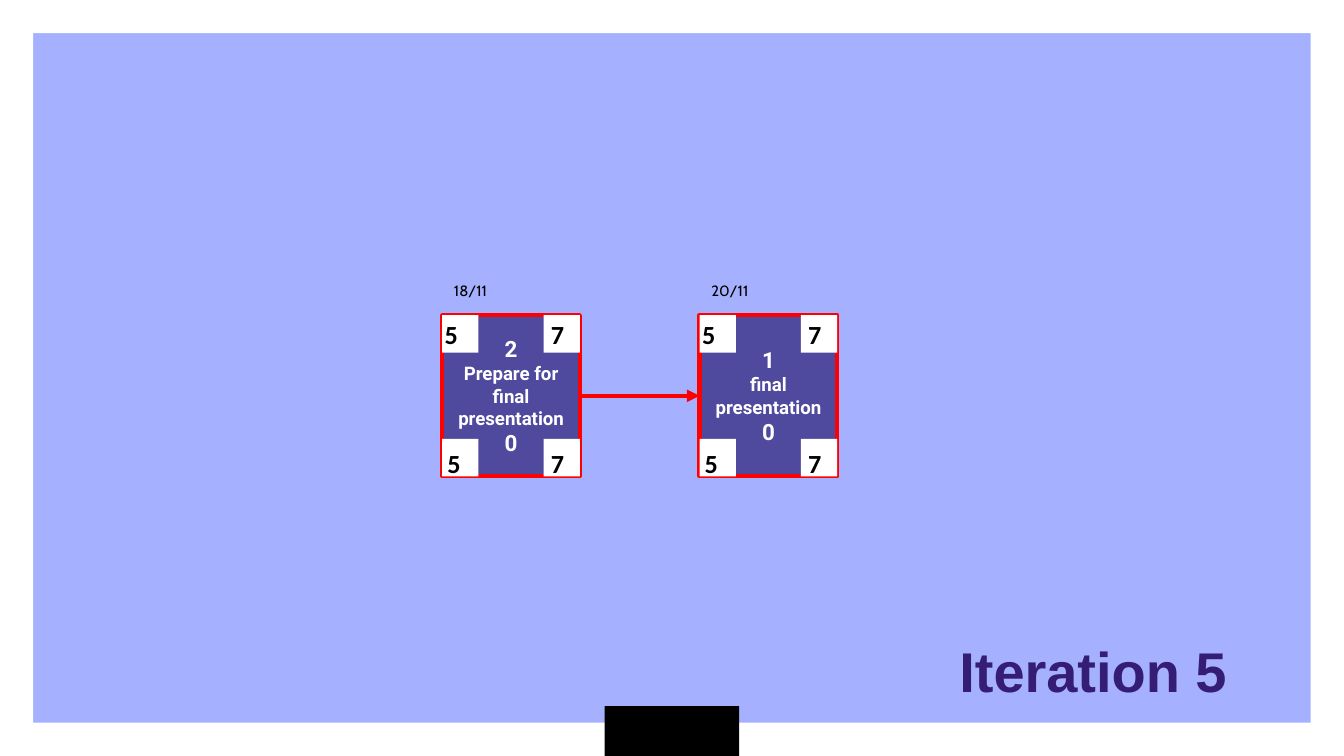
from dataclasses import dataclass

import lxml.etree
import pptx
import pptx.dml.color
import pptx.enum.shapes
import pptx.enum.text
import pptx.oxml.ns
import pptx.util

EMU_PER_PX = 4572  # 200 px to the inch
SLIDE_WIDTH, SLIDE_HEIGHT = 2000, 1125
TASK_TOP, TASK_WIDTH, TASK_HEIGHT = 469, 205, 240
CORNER_WIDTH, CORNER_HEIGHT = 54, 56
INSET = 20

Shapes = pptx.enum.shapes.MSO_SHAPE
Align = pptx.enum.text.PP_ALIGN
Anchor = pptx.enum.text.MSO_ANCHOR
AutoSize = pptx.enum.text.MSO_AUTO_SIZE


@dataclass(frozen=True)
class Theme:
    background: str = "A5B0FE"
    white: str = "FFFFFF"
    black: str = "000000"
    task: str = "4F4A9E"
    critical: str = "FF0000"
    title: str = "351C75"
    line_width: float = 2.25
    title_size: int = 30
    corner_size: int = 14
    number_size: int = 12
    name_size: int = 10
    date_size: int = 8


@dataclass(frozen=True)
class Box:
    left: int
    top: int
    width: int
    height: int

    def emu(self) -> tuple[int, ...]:
        return tuple(px(v) for v in (self.left, self.top, self.width, self.height))


@dataclass(frozen=True)
class Line:
    text: str
    size: int
    font: str
    color: str
    bold: bool = True


@dataclass(frozen=True)
class Corner:
    """A white corner cell and its number, as offsets from the task box."""
    text: str
    left: int
    top: int
    text_left: int
    text_top: int


@dataclass(frozen=True)
class Task:
    left: int
    date: str
    duration: str
    name: str
    slack: str
    corners: tuple[Corner, ...]


THEME = Theme()
RIGHT = TASK_WIDTH - CORNER_WIDTH
BOTTOM = TASK_HEIGHT - CORNER_HEIGHT
CORNERS = (
    Corner("5", 0, 0, -16, -15),
    Corner("7", RIGHT, 0, 142, -15),
    Corner("5", 0, BOTTOM, -12, 177),
    Corner("7", RIGHT, BOTTOM, 142, 177),
)
TASKS = (
    Task(658, "18/11", "2", "Prepare for final presentation", "0", CORNERS),
    Task(1041, "20/11", "1", "final presentation", "0", CORNERS),
)


def px(value: int) -> int:
    return value * EMU_PER_PX


def rgb(color: str) -> pptx.dml.color.RGBColor:
    return pptx.dml.color.RGBColor.from_string(color)


def write(shape, lines: list[Line], align=Align.LEFT, anchor=Anchor.TOP) -> None:
    frame = shape.text_frame
    frame.word_wrap = True
    frame.vertical_anchor = anchor
    frame.margin_left = frame.margin_right = px(INSET)
    frame.margin_top = frame.margin_bottom = px(INSET)
    for index, line in enumerate(lines):
        paragraph = frame.add_paragraph() if index else frame.paragraphs[0]
        paragraph.text = line.text
        paragraph.alignment = align
        paragraph.font.size = pptx.util.Pt(line.size)
        paragraph.font.name = line.font
        paragraph.font.bold = line.bold
        paragraph.font.color.rgb = rgb(line.color)


def add_filled(slide, box: Box, fill: str, kind=Shapes.RECTANGLE):
    shape = slide.shapes.add_shape(kind, *box.emu())
    shape.shadow.inherit = False
    shape.fill.solid()
    shape.fill.fore_color.rgb = rgb(fill)
    shape.line.fill.background()
    return shape


def add_text(slide, box: Box, line: Line, anchor=Anchor.TOP):
    shape = slide.shapes.add_textbox(*box.emu())
    write(shape, [line], anchor=anchor)
    return shape


def style_line(line) -> None:
    line.color.rgb = rgb(THEME.critical)
    line.width = pptx.util.Pt(THEME.line_width)


def add_task(slide, task: Task):
    """Draw a task with its corner cells and date; return the task box."""
    box = Box(task.left, TASK_TOP, TASK_WIDTH, TASK_HEIGHT)
    shape = add_filled(slide, box, THEME.task)
    style_line(shape.line)
    write(shape, [
        Line(task.duration, THEME.number_size, "Roboto", THEME.white),
        Line(task.name, THEME.name_size, "Roboto", THEME.white),
        Line(task.slack, THEME.number_size, "Roboto", THEME.white),
    ], Align.CENTER, Anchor.MIDDLE)
    for corner in task.corners:
        add_filled(slide, Box(task.left + corner.left, TASK_TOP + corner.top,
                              CORNER_WIDTH, CORNER_HEIGHT), THEME.white)
    for corner in task.corners:
        add_text(slide, Box(task.left + corner.text_left, TASK_TOP + corner.text_top, 88, 72),
                 Line(corner.text, THEME.corner_size, "Calibri", THEME.black))
    date = add_text(slide, Box(task.left - 2, TASK_TOP - 63, 180, 58),
                    Line(task.date, THEME.date_size, "Cabin", THEME.black, bold=False))
    date.text_frame.auto_size = AutoSize.SHAPE_TO_FIT_TEXT
    return shape


def add_arrow(slide, start, end) -> None:
    """Join the right side of start to the left side of end."""
    connector = slide.shapes.add_connector(
        pptx.enum.shapes.MSO_CONNECTOR.STRAIGHT, 0, 0, 0, 0)
    connector.begin_connect(start, 3)
    connector.end_connect(end, 1)
    style_line(connector.line)
    qn = pptx.oxml.ns.qn
    lxml.etree.SubElement(connector.line._get_or_add_ln(), qn("a:tailEnd"), type="triangle")
    lxml.etree.SubElement(connector._element.spPr, qn("a:effectLst"))


def main() -> None:
    presentation = pptx.Presentation()
    presentation.slide_width = px(SLIDE_WIDTH)
    presentation.slide_height = px(SLIDE_HEIGHT)
    slide = presentation.slides.add_slide(presentation.slide_layouts[6])
    slide.background.fill.solid()
    slide.background.fill.fore_color.rgb = rgb(THEME.background)

    frame = add_filled(slide, Box(0, 0, SLIDE_WIDTH, SLIDE_HEIGHT), THEME.white, Shapes.FRAME)
    frame.adjustments[0] = 0.044
    add_filled(slide, Box(900, 1051, 200, 74), THEME.black)

    boxes = [add_task(slide, task) for task in TASKS]
    for start, end in zip(boxes, boxes[1:]):
        add_arrow(slide, start, end)

    add_text(slide, Box(1408, 880, 560, 188),
             Line("Iteration 5", THEME.title_size, "Arial", THEME.title), Anchor.BOTTOM)
    presentation.save("out.pptx")


if __name__ == "__main__":
    main()
